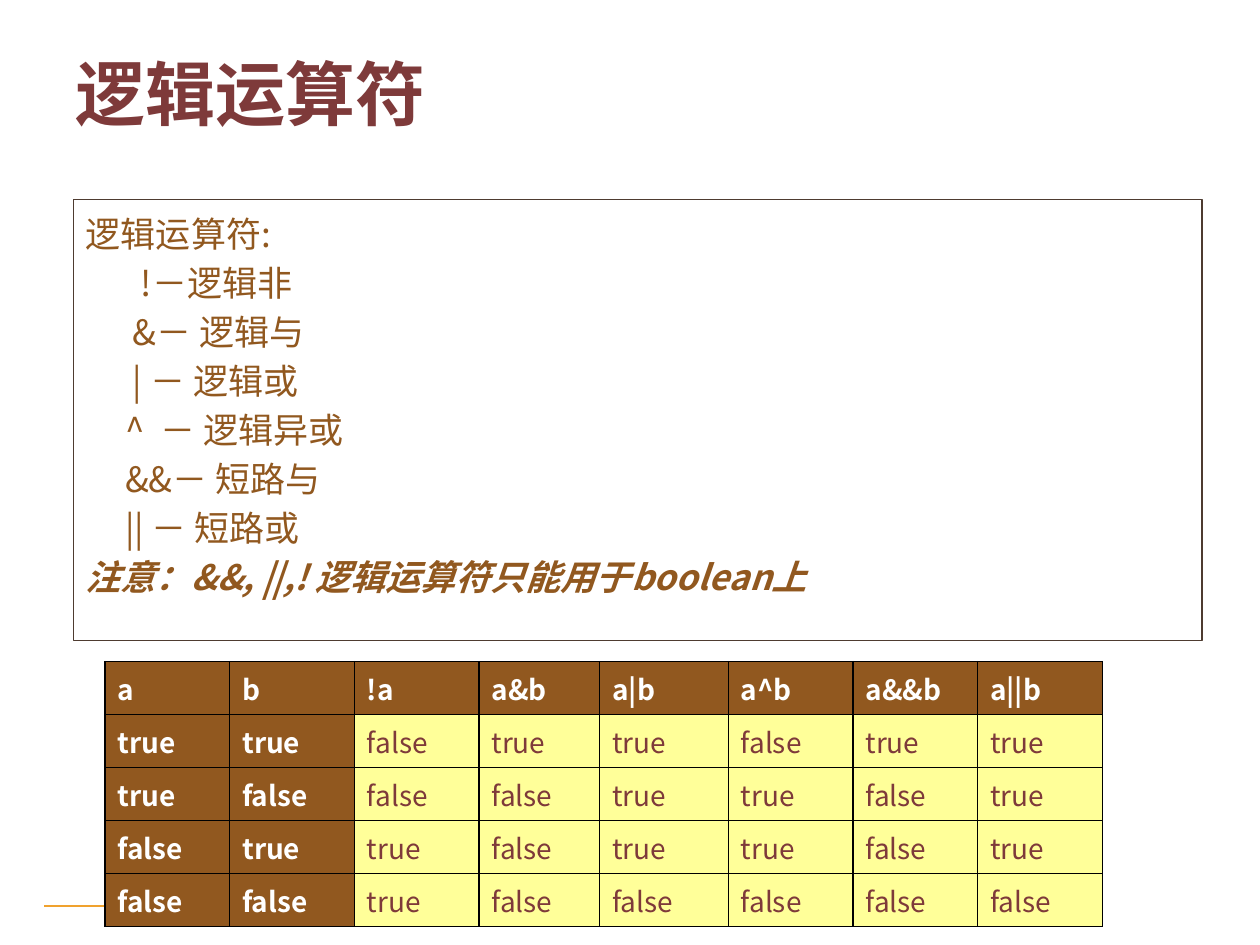
"""Build the slide on logical operators with its truth table."""
from dataclasses import dataclass
from typing import NamedTuple

from lxml import etree
from pptx import Presentation
from pptx.dml.color import RGBColor
from pptx.enum import shapes, text
from pptx.oxml.ns import qn
from pptx.util import Pt


@dataclass(frozen=True)
class Theme:
    font: str = "Noto Sans CJK SC"
    brown: str = "91581F"
    maroon: str = "7E3A3A"
    outline: str = "4E3B30"
    orange: str = "F0A22E"
    yellow: str = "FFFF99"
    white: str = "FFFFFF"
    black: str = "000000"
    title_size: float = 40
    body_size: float = 20
    table_size: float = 16
    body_pitch: float = 28
    indent_step: float = 4.48


class Box(NamedTuple):
    left: float
    top: float
    width: float
    height: float


class Line(NamedTuple):
    text: str
    indent_steps: int = 0
    emphasis: bool = False


THEME = Theme()
TITLE_BOX = Box(36, 21.6, 492, 62.4)
BODY_BOX = Box(42, 114, 645, 252)
TABLE_BOX = Box(60, 378, 570, 132)
FOOTER_BAR = Box(24, 516, 570, 3.6)
COLUMN_WIDTHS = (71.25, 71.25, 71.25, 69, 73.5, 71.25, 71.25, 71.25)
KEY_COLUMNS = 2
BODY_LINES = (
    Line("逻辑运算符:"),
    Line("!－逻辑非", 7),
    Line("&－ 逻辑与", 6),
    Line("| － 逻辑或", 6),
    Line("^  － 逻辑异或", 5),
    Line("&&－ 短路与", 5),
    Line("|| － 短路或", 5),
    Line("注意：&&, ||,! 逻辑运算符只能用于boolean上", emphasis=True),
)
HEADINGS = ("a", "b", "!a", "a&b", "a|b", "a^b", "a&&b", "a||b")


def truth_rows() -> list[list[str]]:
    """Return the headings followed by the value of each expression."""
    rows = [list(HEADINGS)]
    for a in (True, False):
        for b in (True, False):
            values = (a, b, not a, a & b, a | b, a ^ b, a and b, a or b)
            rows.append([str(value).lower() for value in values])
    return rows


def add_text(paragraph, content: str, *, size: float, color: str,
             bold: bool = False, italic: bool = False) -> None:
    """Add a formatted run to a paragraph."""
    run = paragraph.add_run()
    run.text = content
    font = run.font
    font.size, font.bold, font.italic = Pt(size), bold, italic
    font.color.rgb = RGBColor.from_string(color)
    font.name = THEME.font
    east_asian = etree.SubElement(run._r.get_or_add_rPr(), qn("a:ea"))
    east_asian.set("typeface", THEME.font)
    paragraph.alignment = text.PP_ALIGN.LEFT


def add_rectangle(slide, box: Box, *, line: str, line_width: float,
                  fill: str | None = None):
    """Add an outlined rectangle."""
    shape = slide.shapes.add_shape(
        shapes.MSO_SHAPE.RECTANGLE, *(Pt(length) for length in box))
    shape.shadow.inherit = False
    if fill:
        shape.fill.solid()
        shape.fill.fore_color.rgb = RGBColor.from_string(fill)
    else:
        shape.fill.background()
    shape.line.color.rgb = RGBColor.from_string(line)
    shape.line.width = Pt(line_width)
    return shape


def format_title(slide) -> None:
    """Place and fill the title placeholder."""
    title = slide.shapes.title
    title.left, title.top, title.width, title.height = (
        Pt(length) for length in TITLE_BOX)
    title.text_frame.vertical_anchor = text.MSO_ANCHOR.MIDDLE
    add_text(title.text_frame.paragraphs[0], "逻辑运算符",
             size=THEME.title_size, color=THEME.maroon, bold=True)


def add_body(slide) -> None:
    """Add the framed list of operators."""
    frame = add_rectangle(slide, BODY_BOX, line=THEME.outline,
                          line_width=1).text_frame
    frame.word_wrap = True
    frame.vertical_anchor = text.MSO_ANCHOR.TOP
    for index, line in enumerate(BODY_LINES):
        paragraph = frame.add_paragraph() if index else frame.paragraphs[0]
        paragraph.line_spacing = Pt(THEME.body_pitch)
        indent = Pt(line.indent_steps * THEME.indent_step)
        paragraph._p.get_or_add_pPr().set("marL", str(indent))
        add_text(paragraph, line.text, size=THEME.body_size,
                 color=THEME.brown, bold=line.emphasis, italic=line.emphasis)


def add_borders(cell, color: str, width: float) -> None:
    """Draw all four borders of a table cell."""
    properties = cell._tc.get_or_add_tcPr()
    for index, side in enumerate(("lnL", "lnR", "lnT", "lnB")):
        border = etree.Element(qn(f"a:{side}"), w=str(Pt(width)))
        fill = etree.SubElement(border, qn("a:solidFill"))
        etree.SubElement(fill, qn("a:srgbClr"), val=color)
        properties.insert(index, border)


def add_truth_table(slide) -> None:
    """Add the truth table with its brown heading row and key columns."""
    rows = truth_rows()
    table = slide.shapes.add_table(
        len(rows), len(HEADINGS), *(Pt(length) for length in TABLE_BOX)).table
    for column, width in zip(table.columns, COLUMN_WIDTHS):
        column.width = Pt(width)
    for row_index, values in enumerate(rows):
        for column_index, value in enumerate(values):
            cell = table.cell(row_index, column_index)
            is_key = row_index == 0 or column_index < KEY_COLUMNS
            cell.fill.solid()
            cell.fill.fore_color.rgb = RGBColor.from_string(
                THEME.brown if is_key else THEME.yellow)
            cell.vertical_anchor = text.MSO_ANCHOR.MIDDLE
            add_borders(cell, THEME.black, 1)
            add_text(cell.text_frame.paragraphs[0], value,
                     size=THEME.table_size, bold=is_key,
                     color=THEME.white if is_key else THEME.maroon)


def main() -> None:
    """Build and save the presentation."""
    presentation = Presentation()
    presentation.slide_width, presentation.slide_height = Pt(720), Pt(540)
    slide = presentation.slides.add_slide(presentation.slide_layouts[5])
    format_title(slide)
    add_rectangle(slide, FOOTER_BAR, fill=THEME.orange,
                  line=THEME.white, line_width=2)
    add_body(slide)
    add_truth_table(slide)
    presentation.save("out.pptx")


if __name__ == "__main__":
    main()
